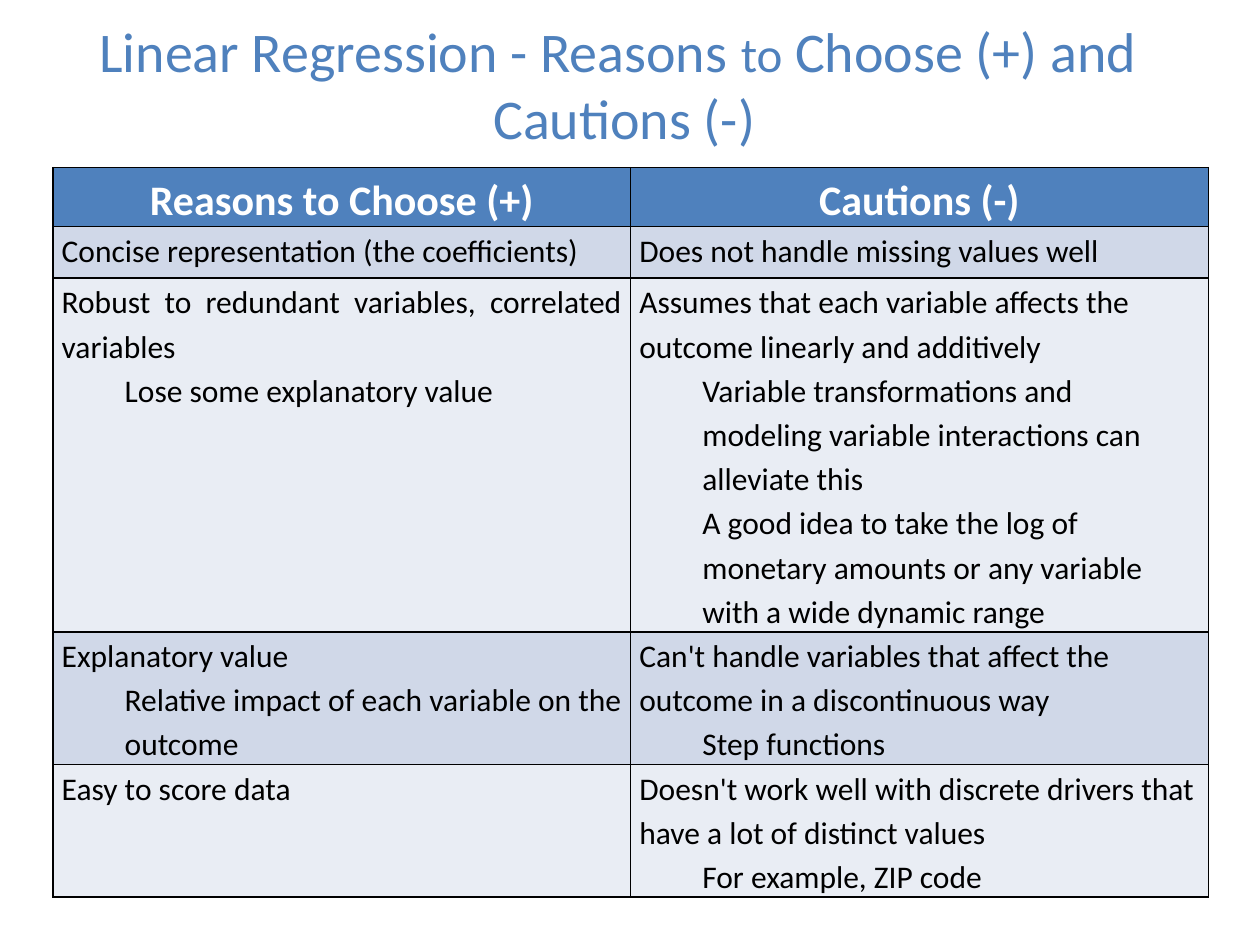
from dataclasses import dataclass

from lxml import etree
from pptx import Presentation
from pptx.dml.color import RGBColor
from pptx.enum import text as t
from pptx.oxml.ns import qn
from pptx.util import Inches, Pt


@dataclass(frozen=True)
class Theme:
    font: str = "Calibri"
    accent: str = "4F81BD"
    bands: tuple = ("D0D8E8", "E9EDF4")
    ink: str = "000000"
    paper: str = "FFFFFF"
    title_size: int = 32
    small_title_size: int = 28
    header_size: int = 24
    body_size: int = 18


THEME = Theme()

HEADERS = ("Reasons to Choose (+)", "Cautions (-)")

# Each cell lists its main point first, then its indented sub-points.
ROWS = (
    (["Concise representation (the coefficients)"],
     ["Does not handle missing values well"]),
    (["Robust to redundant variables, correlated variables",
      "Lose some explanatory value"],
     ["Assumes that each variable affects the outcome linearly and additively",
      "Variable transformations and modeling variable interactions can alleviate this",
      "A good idea to take the log of monetary amounts or any variable "
      "with a wide dynamic range"]),
    (["Explanatory value",
      "Relative impact of each variable on the outcome"],
     ["Can't handle variables that affect the outcome in a discontinuous way",
      "Step functions"]),
    (["Easy to score data"],
     ["Doesn't work well with discrete drivers that have a lot of distinct values",
      "For example, ZIP code"]),
)


def style_font(font, size, color, bold=False):
    font.name = THEME.font
    font.size = Pt(size)
    font.bold = bold
    font.color.rgb = RGBColor.from_string(color)


def fill_title(title):
    title.left, title.top = Inches(0.33), Inches(0.25)
    title.width, title.height = Inches(9.25), Inches(0.83)
    frame = title.text_frame
    frame.auto_size = t.MSO_AUTO_SIZE.NONE
    frame.vertical_anchor = t.MSO_ANCHOR.MIDDLE
    heading = frame.paragraphs[0]
    heading.alignment = t.PP_ALIGN.CENTER
    style_font(heading.font, THEME.title_size, THEME.accent)
    heading.add_run().text = "Linear Regression - Reasons "
    small_word = heading.add_run()
    small_word.text = "to"
    small_word.font.size = Pt(THEME.small_title_size)
    heading.add_run().text = " Choose (+) and "
    heading.add_line_break()
    heading.add_run().text = "Cautions (-)"


def add_borders(cell):
    properties = cell._tc.get_or_add_tcPr()
    for side in ("lnL", "lnR", "lnT", "lnB"):
        line = etree.SubElement(properties, qn(f"a:{side}"), w=str(Pt(1)))
        fill = etree.SubElement(line, qn("a:solidFill"))
        etree.SubElement(fill, qn("a:srgbClr"), val=THEME.ink)


def fill_cell(cell, points, background, alignment, size, color, bold=False):
    add_borders(cell)
    cell.fill.solid()
    cell.fill.fore_color.rgb = RGBColor.from_string(background)
    cell.margin_left = cell.margin_right = Inches(0.07)
    cell.margin_top = cell.margin_bottom = 0
    frame = cell.text_frame
    frame.text = "\n".join(points)
    for level, paragraph in enumerate(frame.paragraphs):
        paragraph.alignment = alignment
        paragraph.line_spacing = 1.15
        style_font(paragraph.font, size, color, bold)
        if level:
            paragraph._p.get_or_add_pPr().set("marL", str(Inches(0.5)))


def add_comparison(slide):
    row_height = Inches(0.41)
    row_count = len(ROWS) + 1
    table = slide.shapes.add_table(
        row_count, len(HEADERS), Inches(0.42), Inches(1.33),
        Inches(9.17), row_height * row_count).table
    for row in table.rows:
        row.height = row_height
    for column, header in enumerate(HEADERS):
        fill_cell(table.cell(0, column), [header], THEME.accent,
                  t.PP_ALIGN.CENTER, THEME.header_size, THEME.paper, bold=True)
    alignments = (t.PP_ALIGN.JUSTIFY, t.PP_ALIGN.LEFT)
    for index, row in enumerate(ROWS):
        band = THEME.bands[index % len(THEME.bands)]
        for column, points in enumerate(row):
            fill_cell(table.cell(index + 1, column), points, band,
                      alignments[column], THEME.body_size, THEME.ink)


def main():
    deck = Presentation()
    deck.slide_width, deck.slide_height = Inches(10), Inches(7.5)
    slide = deck.slides.add_slide(deck.slide_layouts.get_by_name("Title Only"))
    fill_title(slide.shapes.title)
    add_comparison(slide)
    deck.save("out.pptx")


if __name__ == "__main__":
    main()
